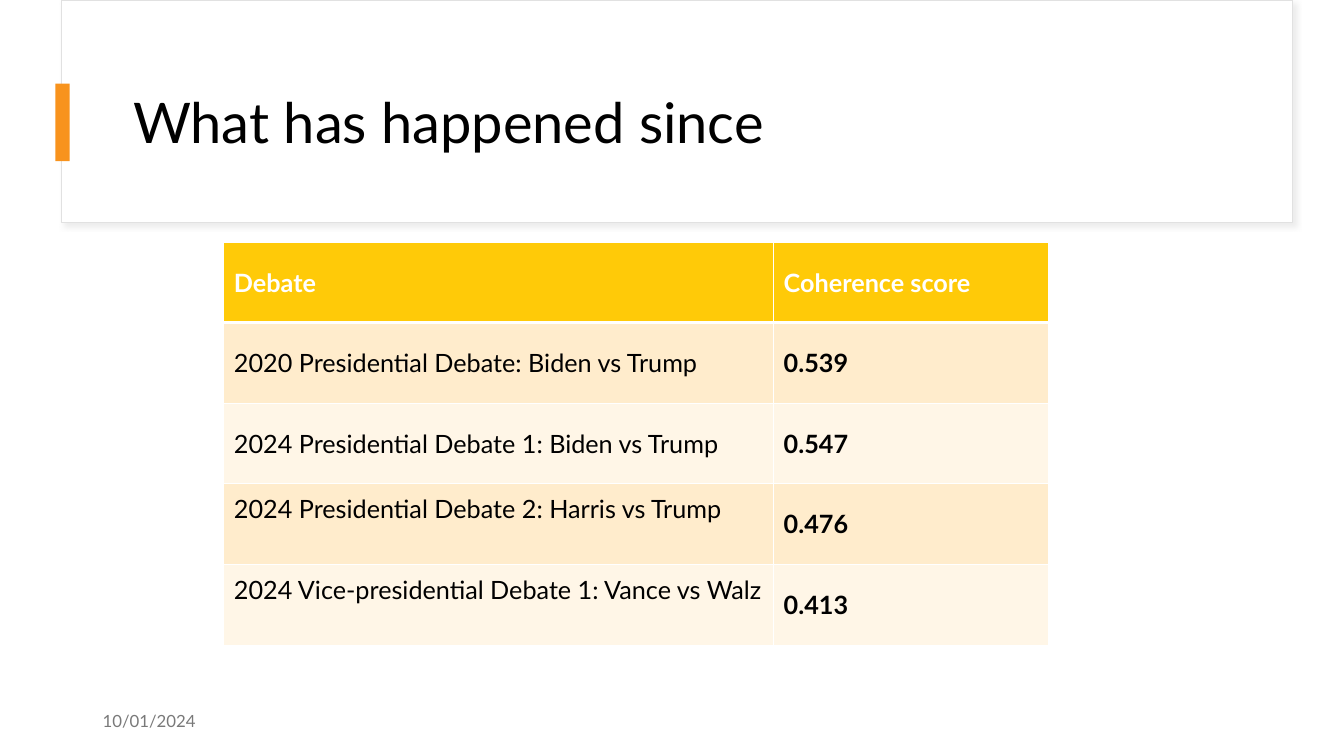
from lxml import etree
from pptx import Presentation, util as u
from pptx.dml.color import RGBColor
from pptx.enum import shapes, text
from pptx.oxml import ns, parse_xml

WHITE = RGBColor(0xFF, 0xFF, 0xFF)
BLACK = RGBColor(0, 0, 0)
GRAY = RGBColor(0x79, 0x79, 0x79)
EDGE = RGBColor(0xE1, 0xE1, 0xE1)
SHADE = RGBColor(0xD9, 0xD9, 0xD9)
ORANGE = RGBColor(0xF8, 0x93, 0x1D)
GOLD = RGBColor(0xFF, 0xCA, 0x08)
BANDS = RGBColor(0xFF, 0xEC, 0xCC), RGBColor(0xFF, 0xF6, 0xE7)
FONT = "Lato"
ROWS = [
    ("Debate", "Coherence score"),
    ("2020 Presidential Debate: Biden vs Trump", "0.539"),
    ("2024 Presidential Debate 1: Biden vs Trump", "0.547"),
    ("2024 Presidential Debate 2: Harris vs Trump", "0.476"),
    ("2024 Vice-presidential Debate 1: Vance vs Walz", "0.413"),
]


def inches(*sizes):
    """Turn numbers into lengths."""
    return [u.Inches(size) for size in sizes]


def style(frame, size, color, bold=False):
    """Format the text of a frame."""
    frame.word_wrap = True
    for para in frame.paragraphs:
        para.alignment = text.PP_ALIGN.LEFT
        for run in para.runs:
            run.font.name, run.font.size = FONT, u.Pt(size)
            run.font.bold, run.font.color.rgb = bold, color


def block(slide, box, fill, line=None):
    """Add a plain rectangle."""
    rect = slide.shapes.add_shape(shapes.MSO_SHAPE.RECTANGLE, *inches(*box))
    rect.shadow.inherit = False
    rect.fill.solid()
    rect.fill.fore_color.rgb = fill
    if line is None:
        rect.line.fill.background()
    else:
        rect.line.color.rgb, rect.line.width = line, u.Pt(0.75)
    return rect


def shade(rect):
    """Give a shape a soft shadow to the lower right."""
    effects = rect.element.spPr.find(ns.qn("a:effectLst"))
    effects.append(parse_xml(
        f'<a:outerShdw {ns.nsdecls("a")} blurRad="{u.Pt(4)}" dist="{u.Pt(3)}" '
        f'dir="2700000" algn="tl" rotWithShape="0"><a:srgbClr val="{SHADE}">'
        '<a:alpha val="50000"/></a:srgbClr></a:outerShdw>'))


def header(slide, box, words):
    """Place the title card, its title and the accent bar."""
    left, top, width, height = box
    title = slide.shapes.title
    card = block(slide, box, WHITE, EDGE)
    shade(card)
    title.element.addprevious(card.element)
    title.left, title.top, title.width, title.height = inches(
        left + 0.61, top + 0.6, width - 1.09, 1.29)
    frame = title.text_frame
    frame.text = words
    frame.vertical_anchor = text.MSO_ANCHOR.MIDDLE
    frame.paragraphs[0].line_spacing = 0.9
    style(frame, 40, BLACK)
    block(slide, (left - 0.06, top + 0.83, 0.14, 0.77), ORANGE)


def border(cell, base):
    """Draw white cell borders, with the given width at the base."""
    props = cell._tc.get_or_add_tcPr()
    for spot, (side, width) in enumerate(
            (("L", 1), ("R", 1), ("T", 1), ("B", base))):
        line = etree.Element(ns.qn(f"a:ln{side}"), w=str(u.Pt(width)))
        fill = etree.SubElement(line, ns.qn("a:solidFill"))
        etree.SubElement(fill, ns.qn("a:srgbClr"), val=str(WHITE))
        props.insert(spot, line)


def scores(slide, box):
    """Place the table of debates and scores."""
    table = slide.shapes.add_table(len(ROWS), 2, *inches(*box)).table
    for col, share in zip(table.columns, (2 / 3, 1 / 3)):
        col.width = u.Inches(box[2] * share)
    for row, words in enumerate(ROWS):
        head = row == 0
        for col, word in enumerate(words):
            cell = table.cell(row, col)
            cell.text = word
            cell.vertical_anchor = text.MSO_ANCHOR.MIDDLE
            cell.fill.solid()
            cell.fill.fore_color.rgb = GOLD if head else BANDS[(row - 1) % 2]
            style(cell.text_frame, 18, WHITE if head else BLACK,
                  head or col == 1)
            if row > 2 and col == 0:
                cell.margin_bottom = u.Inches(0.35)
            border(cell, 3 if head else 1)


def footer(slide, box, words):
    """Place the date."""
    frame = slide.shapes.add_textbox(*inches(*box)).text_frame
    frame.text = words
    frame.vertical_anchor = text.MSO_ANCHOR.MIDDLE
    style(frame, 12, GRAY)


def main():
    """Build the slide and save it."""
    deck = Presentation()
    deck.slide_width, deck.slide_height = inches(13.33, 7.5)
    slide = deck.slides.add_slide(deck.slide_layouts[5])
    header(slide, (0.61, 0, 12.21, 2.21), "What has happened since")
    footer(slide, (0.92, 6.95, 3, 0.4), "10/01/2024")
    scores(slide, (2.22, 2.4, 8.18, 4))
    deck.save("out.pptx")


if __name__ == "__main__":
    main()
